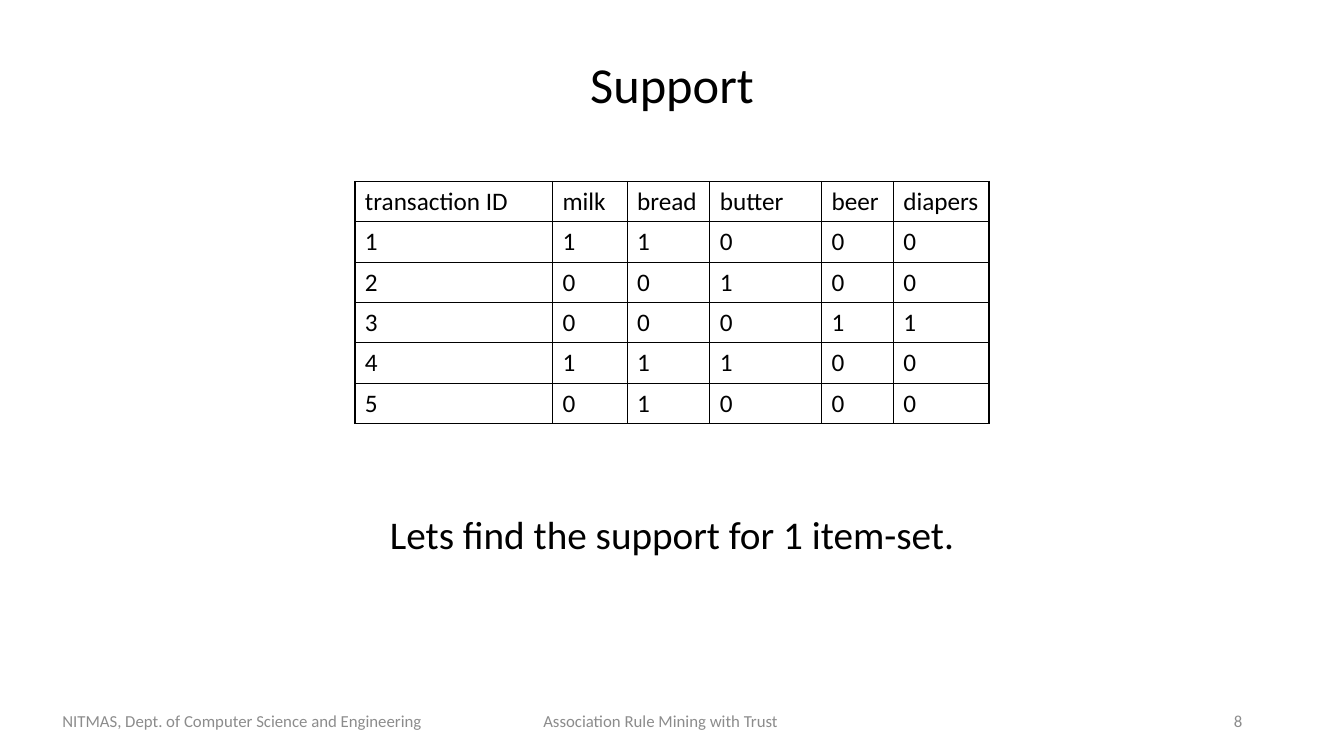
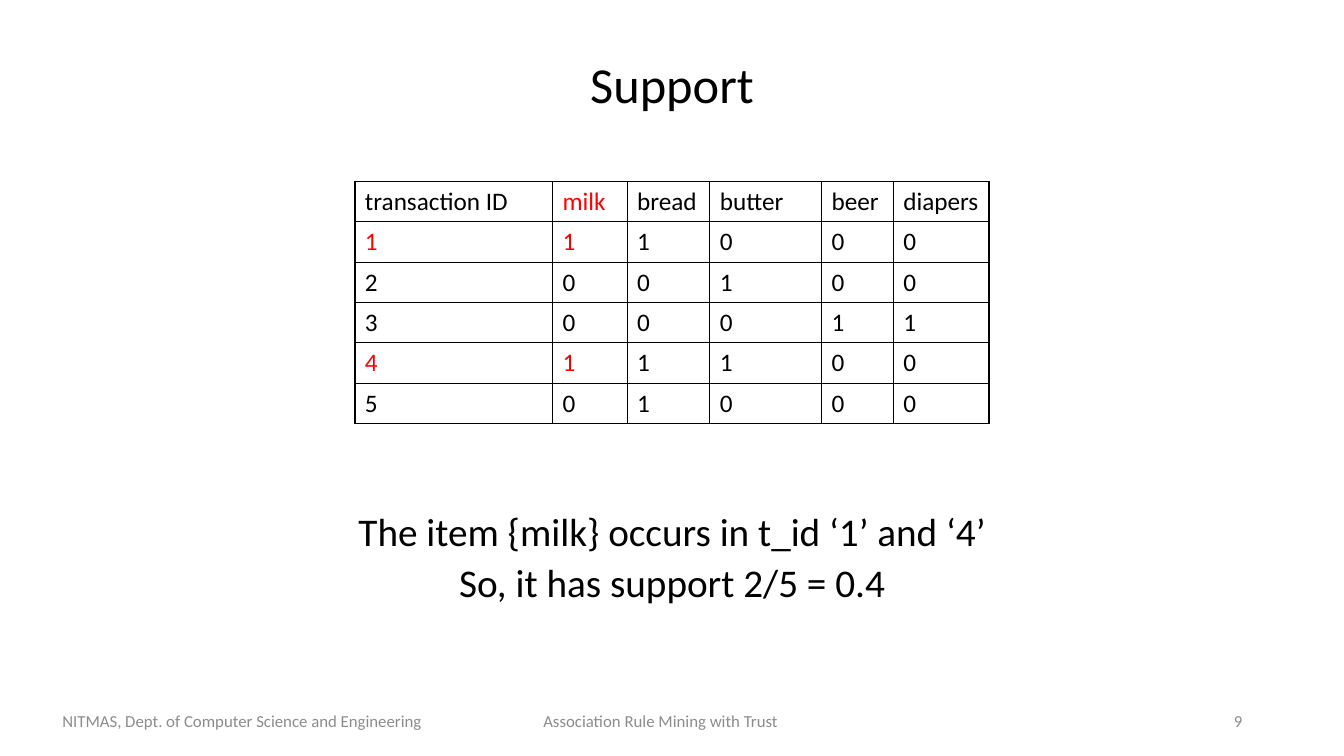
import lxml.etree
import pptx
import pptx.dml.color
import pptx.enum.text
import pptx.oxml.ns
import pptx.util

Inches = pptx.util.Inches
Pt = pptx.util.Pt
qn = pptx.oxml.ns.qn
ALIGN = pptx.enum.text.PP_ALIGN
ANCHOR = pptx.enum.text.MSO_ANCHOR

BLACK = pptx.dml.color.RGBColor(0x00, 0x00, 0x00)
GREY = pptx.dml.color.RGBColor(0x8C, 0x8C, 0x8C)
RED = pptx.dml.color.RGBColor(0xFF, 0x00, 0x00)

COLUMN_WIDTHS = [1.96, 0.74, 0.82, 1.11, 0.71, 0.95]
TRANSACTIONS = [
    ["transaction ID", "milk", "bread", "butter", "beer", "diapers"],
    ["1", "1", "1", "0", "0", "0"],
    ["2", "0", "0", "1", "0", "0"],
    ["3", "0", "0", "0", "1", "1"],
    ["4", "1", "1", "1", "0", "0"],
    ["5", "0", "1", "0", "0", "0"],
]


class Deck:
    """Holds the shared style and the current slide."""

    font = "Calibri"
    width, height = 13.33, 7.5

    def __init__(self):
        self.prs = pptx.Presentation()
        self.prs.slide_width = Inches(self.width)
        self.prs.slide_height = Inches(self.height)
        self.s = None

    def add_slide(self, title, number):
        self.s = self.prs.slides.add_slide(self.prs.slide_layouts[6])
        self.footer(number)
        self.text([title], 0, 0.27, self.width, 1.18, 36,
                  align=ALIGN.CENTER, line_spacing=0.9)

    def run(self, p, text, size, color):
        r = p.add_run()
        r.text = text
        r.font.name = self.font
        r.font.size = Pt(size)
        r.font.color.rgb = color

    def text(self, lines, x, y, w, h, size, color=BLACK, align=ALIGN.LEFT,
             anchor=ANCHOR.MIDDLE, line_spacing=1.0, space_before=0):
        sp = self.s.shapes.add_textbox(Inches(x), Inches(y), Inches(w), Inches(h))
        tf = sp.text_frame
        tf.word_wrap = True
        tf.vertical_anchor = anchor
        for i, line in enumerate(lines):
            p = tf.add_paragraph() if i else tf.paragraphs[0]
            p.alignment = align
            p.line_spacing = line_spacing
            p.space_before = Pt(space_before)
            self.run(p, line, size, color)

    def footer(self, number):
        for text, x, w, align in [
            ("NITMAS, Dept. of Computer Science and Engineering", 0.52, 4.5, ALIGN.LEFT),
            ("Association Rule Mining with Trust", 5.29, 3, ALIGN.LEFT),
            (str(number), 9.42, 3, ALIGN.RIGHT),
        ]:
            self.text([text], x, 6.95, w, 0.4, 12, GREY, align)

    def message(self, lines, line_spacing):
        self.text(lines, 0.23, 5.07, 12.87, 0.99, 28, align=ALIGN.CENTER,
                  anchor=ANCHOR.TOP, line_spacing=line_spacing, space_before=10)

    def borders(self, cell):
        tc_pr = cell._tc.get_or_add_tcPr()
        for side in ("lnL", "lnR", "lnT", "lnB"):
            ln = lxml.etree.SubElement(tc_pr, qn("a:" + side), w=str(Pt(1)))
            fill = lxml.etree.SubElement(ln, qn("a:solidFill"))
            lxml.etree.SubElement(fill, qn("a:srgbClr"), val=str(BLACK))

    def table(self, rows, widths, highlights=()):
        frame = self.s.shapes.add_table(
            len(rows), len(widths), Inches(3.52), Inches(1.8),
            Inches(sum(widths)), Inches(0.4 * len(rows)))
        table = frame.table
        table.first_row = table.horz_banding = False
        for column, width in zip(table.columns, widths):
            column.width = Inches(width)
        for i, row in enumerate(rows):
            for j, value in enumerate(row):
                cell = table.cell(i, j)
                cell.vertical_anchor = ANCHOR.MIDDLE
                self.borders(cell)
                cell.fill.background()
                color = RED if (i, j) in highlights else BLACK
                self.run(cell.text_frame.paragraphs[0], value, 18, color)


def main():
    deck = Deck()

    # Transactions and the question
    deck.add_slide("Support", 8)
    deck.table(TRANSACTIONS, COLUMN_WIDTHS)
    deck.message(["Lets find the support for 1 item-set."], 0.9)

    # Support of milk, with its transactions highlighted
    deck.add_slide("Support", 9)
    milk_cells = {(0, 1)} | {(i, j) for i in (1, 4) for j in (0, 1)}
    deck.table(TRANSACTIONS, COLUMN_WIDTHS, milk_cells)
    deck.message(["The item {milk} occurs in t_id ‘1’ and ‘4’",
                  "So, it has support 2/5 = 0.4"], 0.8)

    deck.prs.save("out.pptx")


if __name__ == "__main__":
    main()
